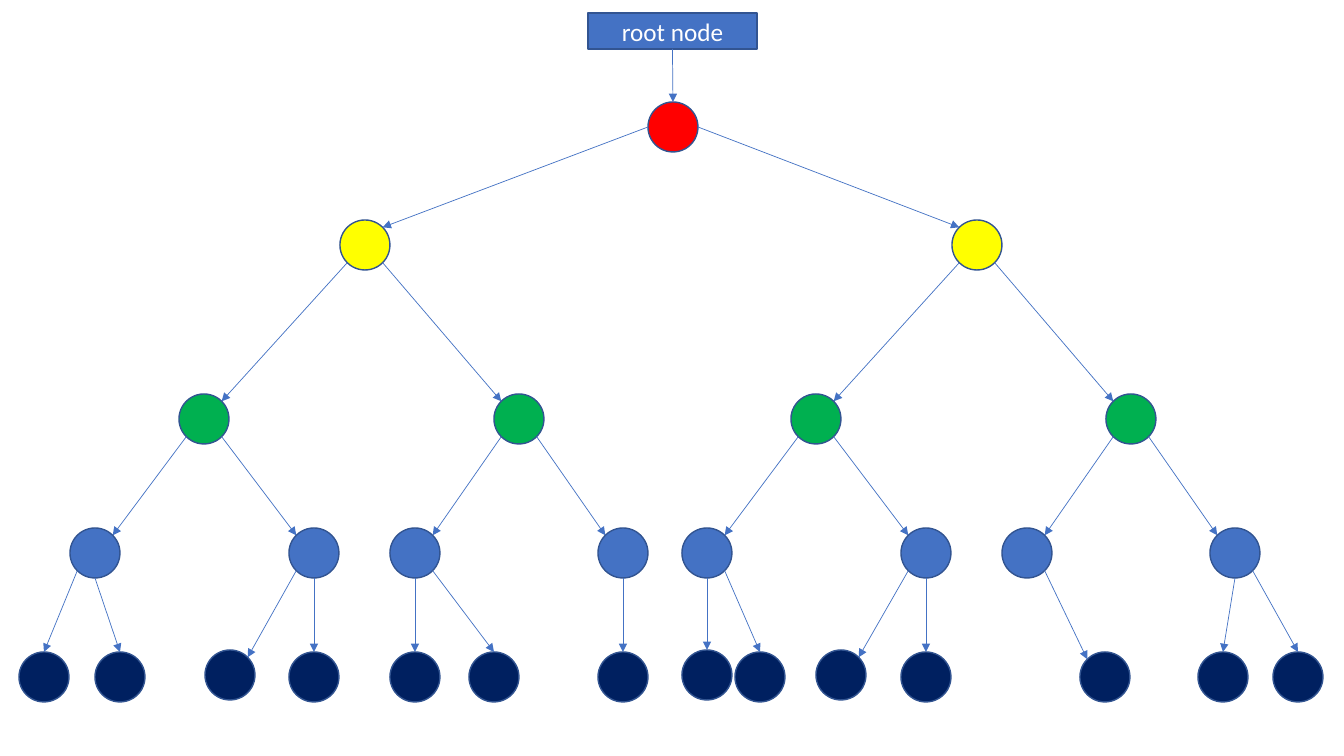
from math import cos, radians, sin

from lxml.etree import SubElement
from pptx import Presentation
from pptx.dml.color import RGBColor
from pptx.enum.shapes import MSO_CONNECTOR as Connector, MSO_SHAPE as Shape
from pptx.enum.text import MSO_ANCHOR as Anchor, PP_ALIGN as Align
from pptx.oxml.ns import qn
from pptx.util import Emu, Pt

# Content: upper levels as (fill, centre y, centre x of each node)
LEVELS = [
    ("red", 127, [673]),
    ("yellow", 245, [365, 977]),
    ("green", 419, [204, 519, 816, 1131]),
    ("blue", 553, [95, 314, 415, 623, 707, 926, 1027, 1235]),
]
# Leaves under each blue node: (centre x, centre y, exit side, entry side)
LEAVES = [
    [(44, 677, "bottom left", "top"), (120, 677, "bottom", "top")],
    [(230, 675, "bottom left", "top right"), (314, 677, "bottom", "top")],
    [(415, 677, "bottom", "top"), (494, 677, "bottom right", "top")],
    [(623, 677, "bottom", "top")],
    [(707, 675, "bottom", "top"), (760, 677, "bottom right", "top")],
    [(841, 675, "bottom left", "top right"), (926, 677, "bottom", "top")],
    [(1105, 677, "bottom right", "top left")],
    [(1223, 677, "bottom", "top"), (1298, 677, "bottom right", "top")],
]
LABEL = "root node"
LABEL_BOX = (588, 13, 169, 36)

THEME = {
    "red": "FF0000", "yellow": "FFFF00", "green": "00B050",
    "blue": "4472C4", "navy": "002060", "outline": "325491",
    "text": "FFFFFF", "font": "Calibri", "size": 18,
    "outline width": 1, "arrow width": 0.5,
}
# Direction of each side of a node, in degrees clockwise from the right
SIDES = {
    "right": 0, "bottom right": 45, "bottom": 90, "bottom left": 135,
    "left": 180, "top left": 225, "top": 270, "top right": 315,
}
PAGE_SIZE = (1344, 756)
DIAMETER = 50
EMU_PER_PIXEL = 914400 / 100.8


def px(*lengths):
    return [Emu(round(length * EMU_PER_PIXEL)) for length in lengths]


def color(name):
    return RGBColor.from_string(THEME[name])


def add_block(kind, box, fill):
    block = page.shapes.add_shape(kind, *px(*box))
    block.shadow.inherit = False
    block.fill.solid()
    block.fill.fore_color.rgb = color(fill)
    block.line.color.rgb = color("outline")
    block.line.width = Pt(THEME["outline width"])
    return block


def add_node(center, fill):
    x, y = center
    radius = DIAMETER / 2
    add_block(Shape.OVAL, (x - radius, y - radius, DIAMETER, DIAMETER), fill)


def site(center, side):
    angle = radians(SIDES[side])
    x, y = center
    return x + DIAMETER / 2 * cos(angle), y + DIAMETER / 2 * sin(angle)


def add_arrow(start, end):
    arrow = page.shapes.add_connector(Connector.STRAIGHT, *px(*start, *end))
    arrow.line.color.rgb = color("blue")
    arrow.line.width = Pt(THEME["arrow width"])
    SubElement(arrow.line._get_or_add_ln(), qn("a:tailEnd"), type="triangle")
    SubElement(arrow._element.spPr, qn("a:effectLst"))


deck = Presentation()
deck.slide_width, deck.slide_height = px(*PAGE_SIZE)
page = deck.slides.add_slide(deck.slide_layouts[6])

# Nodes, collecting the arrows between parents and children
arrows = []
parents = []
for fill, y, columns in LEVELS:
    nodes = [(x, y) for x in columns]
    for index, node in enumerate(nodes):
        add_node(node, fill)
        if parents:
            parent = parents[index // 2]
            side, entry = [("left", "top right"), ("right", "top left")][index % 2]
            leave = side if len(parents) == 1 else f"bottom {side}"
            arrows.append((site(parent, leave), site(node, entry)))
    parents = nodes

for parent, leaves in zip(parents, LEAVES):
    for x, y, leave, entry in leaves:
        add_node((x, y), "navy")
        arrows.append((site(parent, leave), site((x, y), entry)))

# Root label and its arrow
label = add_block(Shape.RECTANGLE, LABEL_BOX, "blue")
frame = label.text_frame
frame.text = LABEL
frame.vertical_anchor = Anchor.MIDDLE
para = frame.paragraphs[0]
para.alignment = Align.CENTER
span = para.runs[0]
span.font.name = THEME["font"]
span.font.size = Pt(THEME["size"])
span.font.color.rgb = color("text")

left, top, width, height = LABEL_BOX
_, root_y, (root_x,) = LEVELS[0]
arrows.append(((left + width / 2, top + height), site((root_x, root_y), "top")))

# Arrows
for start, end in arrows:
    add_arrow(start, end)

deck.save("out.pptx")
